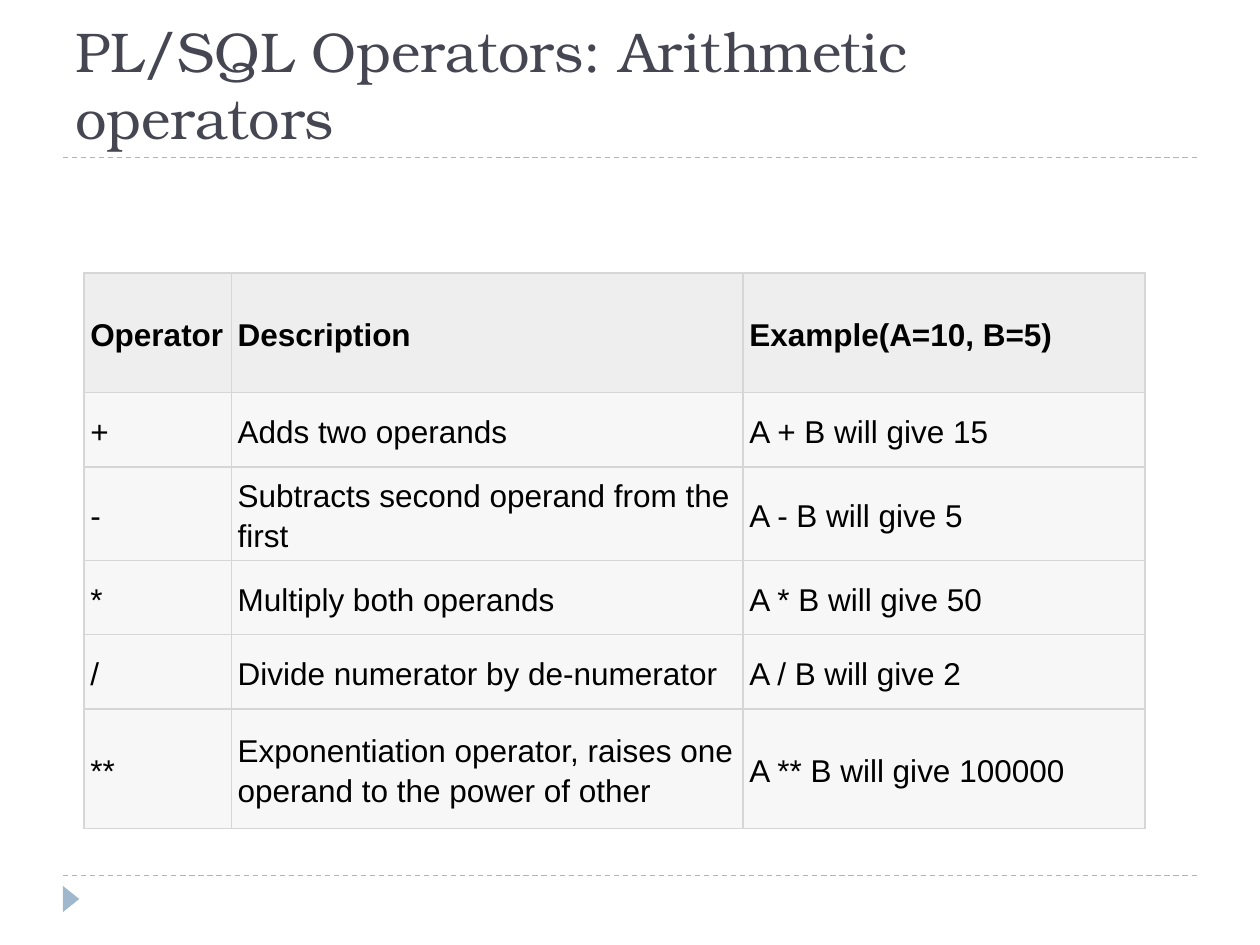
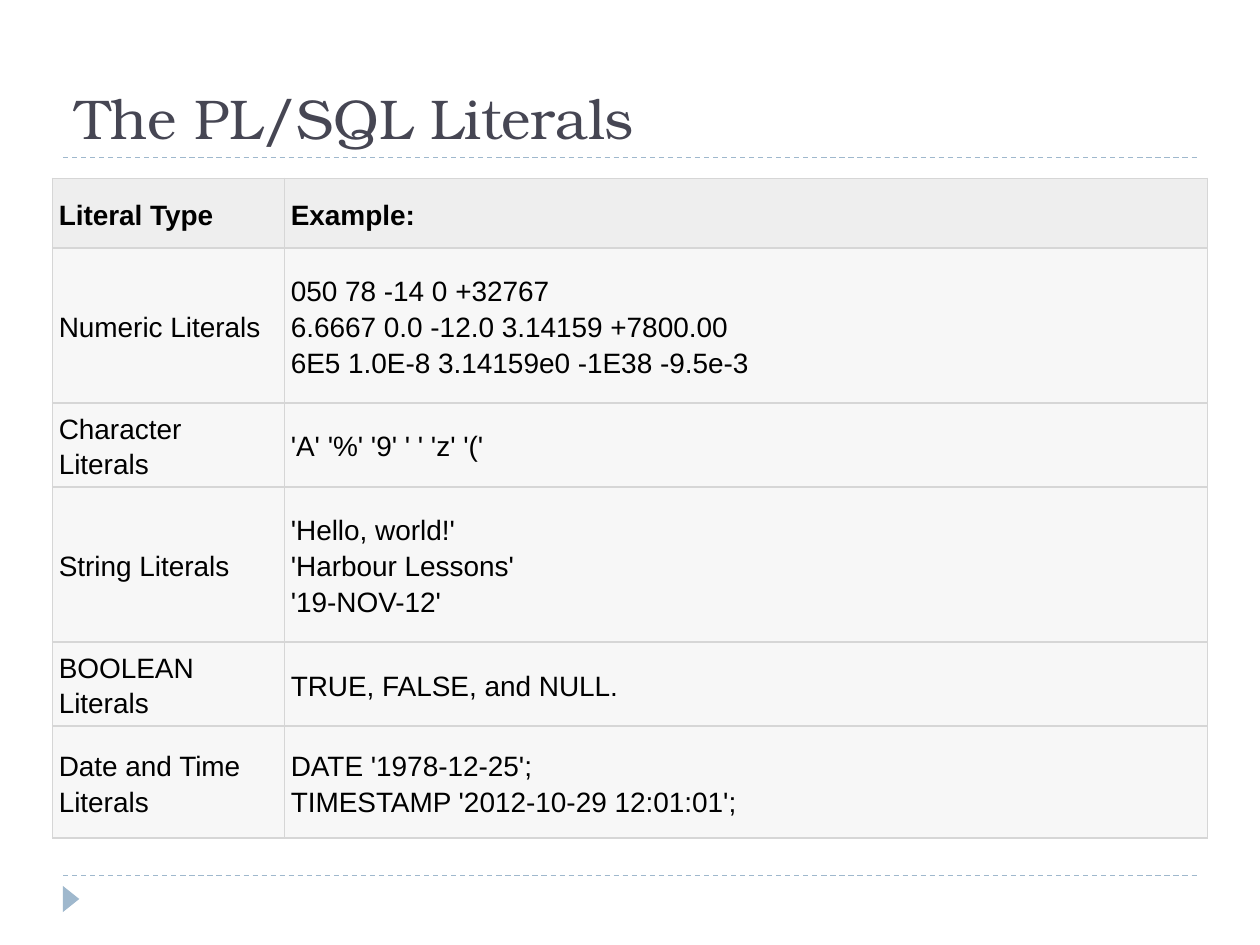
from lxml.etree import SubElement
from pptx import Presentation
from pptx.dml.color import RGBColor
from pptx.enum.dml import MSO_LINE
from pptx.enum.shapes import MSO_CONNECTOR, MSO_SHAPE
from pptx.enum.text import MSO_ANCHOR, MSO_AUTO_SIZE, PP_ALIGN
from pptx.oxml.ns import qn
from pptx.util import Pt

INK = RGBColor(0x46, 0x46, 0x53)
BLUE = RGBColor(0x9F, 0xB8, 0xCD)
BLACK = RGBColor(0, 0, 0)
HEAD = RGBColor(0xEE, 0xEE, 0xEE)
BODY = RGBColor(0xF7, 0xF7, 0xF7)
EDGE = RGBColor(0xD6, 0xD6, 0xD6)
SERIF, SANS = "TeX Gyre Bonum", "Arial"
LEFT, RIGHT = 36, 684
RULES = (90, 500.4)


class Deck:
    """Holds the style and the slide being built."""

    def __init__(self):
        self.file = Presentation()
        self.file.slide_width, self.file.slide_height = Pt(720), Pt(540)
        self.slide = None

    def start(self, title):
        """Add a slide with its rules, corner mark and title."""
        self.slide = self.file.slides.add_slide(self.file.slide_layouts[5])
        for y in RULES:
            self.rule(y)
        self.mark()
        self.title(title)

    def rule(self, y):
        """Draw a dashed line across the slide."""
        line = self.slide.shapes.add_connector(
            MSO_CONNECTOR.STRAIGHT, Pt(LEFT), Pt(y), Pt(RIGHT), Pt(y))
        line.line.color.rgb = BLUE
        line.line.width = Pt(0.75)
        line.line.dash_style = MSO_LINE.DASH
        SubElement(line.element.spPr, qn("a:effectLst"))

    def mark(self):
        """Draw the footer triangle that points right."""
        mark = self.slide.shapes.add_shape(
            MSO_SHAPE.ISOSCELES_TRIANGLE, Pt(33.1), Pt(509), Pt(15), Pt(9.4))
        mark.rotation = 90
        mark.shadow.inherit = False
        mark.fill.solid()
        mark.fill.fore_color.rgb = BLUE
        mark.line.fill.background()

    def title(self, text):
        """Fill and place the title, resting on the upper rule."""
        box = self.slide.shapes.title
        box.left, box.top = Pt(LEFT), Pt(12.2)
        box.width, box.height = Pt(RIGHT - LEFT), Pt(77.8)
        frame = box.text_frame
        frame.word_wrap = True
        frame.auto_size = MSO_AUTO_SIZE.NONE
        frame.vertical_anchor = MSO_ANCHOR.BOTTOM
        para = frame.paragraphs[0]
        para.text = text
        para.alignment = PP_ALIGN.LEFT
        self.font(para, SERIF, 32, INK, False)

    def font(self, para, name, size, color, bold):
        """Set the font of a whole paragraph."""
        font = para.font
        font.name, font.size, font.bold = name, Pt(size), bold
        font.color.rgb = color

    def table(self, left, top, cols, rows, size, data):
        """Add a bordered table whose first row is the header."""
        grid = self.slide.shapes.add_table(
            len(rows), len(cols), Pt(left), Pt(top),
            Pt(sum(cols)), Pt(sum(rows))).table
        grid.horz_banding = grid.first_row = False
        for col, width in zip(grid.columns, cols):
            col.width = Pt(width)
        for r, (row, high, texts) in enumerate(zip(grid.rows, rows, data)):
            row.height = Pt(high)
            for cell, text in zip(row.cells, texts):
                self.cell(cell, text, size, r == 0)

    def cell(self, cell, text, size, head):
        """Fill and style one table cell."""
        cell.margin_left = cell.margin_right = Pt(3.6)
        cell.margin_top = cell.margin_bottom = Pt(3.6)
        cell.vertical_anchor = MSO_ANCHOR.MIDDLE
        para = cell.text_frame.paragraphs[0]
        para.text = text
        para.line_spacing = 1.15
        self.font(para, SANS, size, BLACK, head)
        props = cell._tc.get_or_add_tcPr()
        for side in "LRTB":
            edge = SubElement(props, qn("a:ln" + side), w=str(Pt(1)))
            fill = SubElement(edge, qn("a:solidFill"))
            SubElement(fill, qn("a:srgbClr"), val=str(EDGE))
        cell.fill.solid()
        cell.fill.fore_color.rgb = HEAD if head else BODY


deck = Deck()

deck.start("PL/SQL Operators: Arithmetic operators")
deck.table(48, 156, [84.2, 292.4, 229.7], [68.4, *[42.4] * 4, 68.4], 18, [
    ("Operator", "Description", "Example(A=10, B=5)"),
    ("+", "Adds two operands", "A + B will give 15"),
    ("-", "Subtracts second operand from the first", "A - B will give 5"),
    ("*", "Multiply both operands", "A * B will give 50"),
    ("/", "Divide numerator by de-numerator", "A / B will give 2"),
    ("**", "Exponentiation operator, raises one operand to the power of other",
     "A ** B will give 100000"),
])

deck.start("The PL/SQL Literals")
deck.table(30, 102, [132.6, 527.4], [39.6, 88.6, 39.6, 88.6, 39.6, 64], 16, [
    ("Literal Type", "Example:"),
    ("Numeric Literals",
     "050 78 -14 0 +32767\v6.6667 0.0 -12.0 3.14159 +7800.00\v"
     "6E5 1.0E-8 3.14159e0 -1E38 -9.5e-3"),
    ("Character Literals", "'A' '%' '9' ' ' 'z' '('"),
    ("String Literals", "'Hello, world!'\v'Harbour Lessons'\v'19-NOV-12'"),
    ("BOOLEAN Literals", "TRUE, FALSE, and NULL."),
    ("Date and Time Literals",
     "DATE '1978-12-25';\vTIMESTAMP '2012-10-29 12:01:01';"),
])

deck.file.save("out.pptx")
